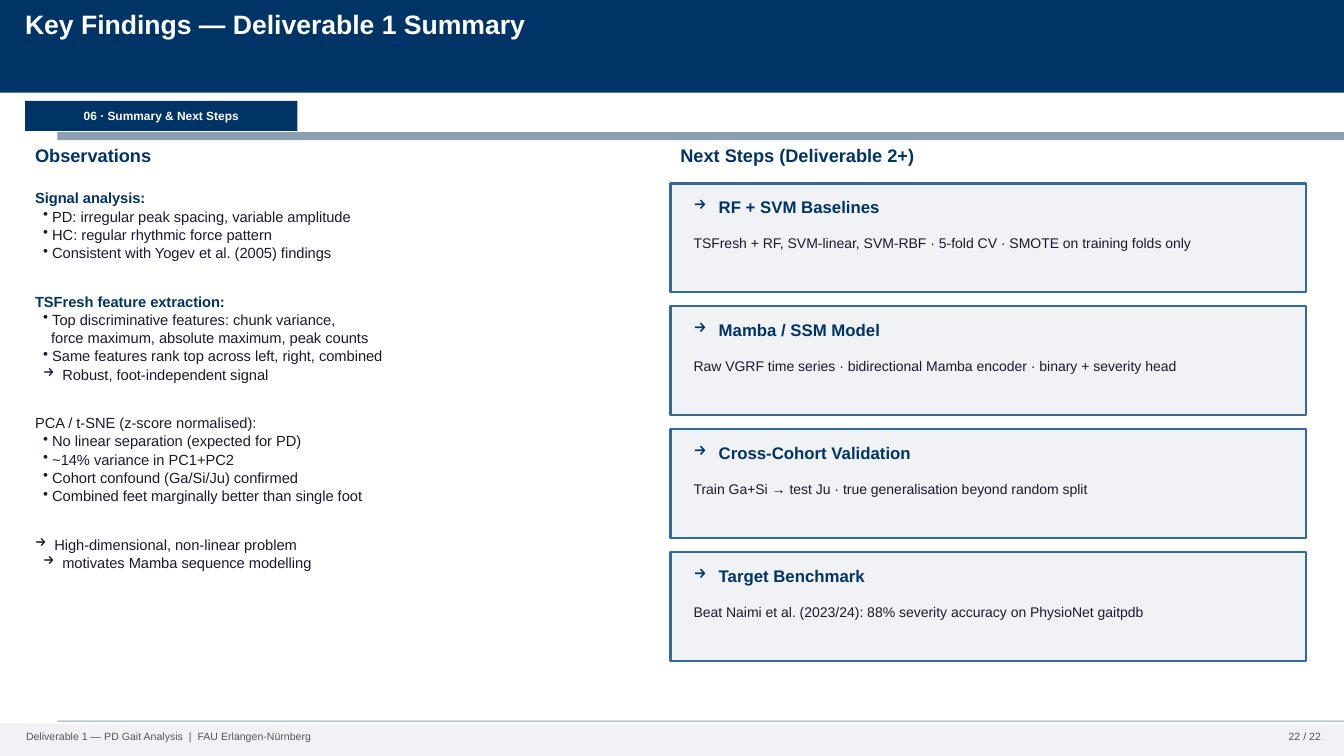
from dataclasses import dataclass

from pptx import Presentation
from pptx.dml.color import RGBColor as RGB
from pptx.enum.shapes import MSO_SHAPE as SHAPE
from pptx.enum.text import MSO_ANCHOR as ANCHOR, MSO_AUTO_SIZE as FIT, PP_ALIGN as ALIGN
from pptx.oxml.xmlchemy import OxmlElement as element
from pptx.util import Inches, Pt

COLORS = {
    "navy": "003366", "slate": "8C9FB1", "panel": "F0F2F5", "edge": "316A9B",
    "ink": "1A1A2E", "grey": "555555", "white": "FFFFFF",
}


@dataclass(frozen=True)
class Style:
    size: float
    color: str
    bold: bool = False


@dataclass(frozen=True)
class Line:
    text: str
    bullet: str = ""
    margin: float = 0
    hang: float = 0
    gap: float = 0
    style: Style | None = None
    align: ALIGN = ALIGN.LEFT


@dataclass(frozen=True)
class Bar:
    left: float
    top: float
    width: float
    height: float
    fill: str


@dataclass(frozen=True)
class Step:
    title: str
    detail: str


TITLE = Style(19, "white", True)
TAG = Style(8.5, "white", True)
HEADING = Style(13, "navy", True)
TOPIC = Style(10.5, "navy", True)
BODY = Style(10.5, "ink")
STEP_TITLE = Style(12, "navy", True)
STEP_DETAIL = Style(10, "ink")
FOOTER = Style(7.5, "grey")

BARS = [
    Bar(0.57, 1.31, 12.77, 0.08, "slate"),
    Bar(0.57, 7.15, 12.77, 0.01, "slate"),
    Bar(0, 0, 13.33, 0.92, "navy"),
    Bar(0, 7.18, 13.33, 0.32, "panel"),
]
SECTION_TAG = Bar(0.25, 1, 2.7, 0.3, "navy")
GROUP_GAP = 21.5


def point(text: str) -> Line:
    return Line(text, "•", 0.17, 0.09)


def arrow(text: str, indent: float = 0, gap: float = 0) -> Line:
    return Line(text, "→", indent + 0.19, 0.19, gap)


OBSERVATIONS = [
    Line("Signal analysis:", style=TOPIC),
    point("PD: irregular peak spacing, variable amplitude"),
    point("HC: regular rhythmic force pattern"),
    point("Consistent with Yogev et al. (2005) findings"),
    Line("TSFresh feature extraction:", gap=GROUP_GAP, style=TOPIC),
    point("Top discriminative features: chunk variance,"),
    Line("force maximum, absolute maximum, peak counts", margin=0.16),
    point("Same features rank top across left, right, combined"),
    arrow("Robust, foot-independent signal", 0.08),
    Line("PCA / t-SNE (z-score normalised):", gap=GROUP_GAP),
    point("No linear separation (expected for PD)"),
    point("~14% variance in PC1+PC2"),
    point("Cohort confound (Ga/Si/Ju) confirmed"),
    point("Combined feet marginally better than single foot"),
    arrow("High-dimensional, non-linear problem", gap=GROUP_GAP),
    arrow("motivates Mamba sequence modelling", 0.08),
]
STEPS = [
    Step("RF + SVM Baselines",
         "TSFresh + RF, SVM-linear, SVM-RBF · 5-fold CV · SMOTE on training folds only"),
    Step("Mamba / SSM Model",
         "Raw VGRF time series · bidirectional Mamba encoder · binary + severity head"),
    Step("Cross-Cohort Validation",
         "Train Ga+Si → test Ju · true generalisation beyond random split"),
    Step("Target Benchmark",
         "Beat Naimi et al. (2023/24): 88% severity accuracy on PhysioNet gaitpdb"),
]


def write(tf, lines: list[Line], style: Style, spacing: float | None = None) -> None:
    for i, line in enumerate(lines):
        p = tf.paragraphs[0] if i == 0 else tf.add_paragraph()
        ppr = p._p.get_or_add_pPr()
        if line.margin:
            ppr.set("marL", str(Inches(line.margin)))
            ppr.set("indent", str(-Inches(line.hang)))
        if line.bullet:
            bu = element("a:buChar")
            bu.set("char", line.bullet)
            ppr.append(bu)
        p.alignment = line.align
        if spacing:
            p.line_spacing = spacing
        if line.gap:
            p.space_before = Pt(line.gap)
        r = p.add_run()
        r.text = line.text
        look = line.style or style
        values = {"name": "Arial", "size": Pt(look.size), "bold": look.bold}
        for name, value in values.items():
            setattr(r.font, name, value)
        r.font.color.rgb = RGB.from_string(COLORS[look.color])


def add_text(s, left: float, top: float, width: float, height: float,
             lines: list[Line], style: Style, spacing: float | None = None) -> None:
    sp = s.shapes.add_textbox(*map(Inches, (left, top, width, height)))
    tf = sp.text_frame
    for name, value in {"word_wrap": True, "auto_size": FIT.SHAPE_TO_FIT_TEXT}.items():
        setattr(tf, name, value)
    write(tf, lines, style, spacing)


def add_bar(s, bar: Bar, edge: str = ""):
    sp = s.shapes.add_shape(
        SHAPE.RECTANGLE, *map(Inches, (bar.left, bar.top, bar.width, bar.height)))
    sp.shadow.inherit = False
    sp.fill.solid()
    sp.fill.fore_color.rgb = RGB.from_string(COLORS[bar.fill])
    if edge:
        sp.line.color.rgb = RGB.from_string(COLORS[edge])
        sp.line.width = Pt(1.5)
    else:
        sp.line.fill.background()
    return sp


def add_step(s, step: Step, top: float) -> None:
    add_bar(s, Bar(6.65, top, 6.3, 1.08, "panel"), "edge")
    add_text(s, 6.78, top + 0.08, 6.05, 0.38,
             [Line(step.title, "→", 0.25, 0.25)], STEP_TITLE)
    add_text(s, 6.78, top + 0.46, 6.05, 0.56, [Line(step.detail)], STEP_DETAIL)


def main() -> None:
    """Build the key findings slide and save it."""
    prs = Presentation()
    prs.slide_width, prs.slide_height = Inches(13.33), Inches(7.5)
    s = prs.slides.add_slide(prs.slide_layouts[6])
    for bar in BARS:
        add_bar(s, bar)
    add_text(s, 0, 0.03, 12.5, 0.68,
             [Line("Key Findings — Deliverable 1 Summary", margin=0.15)], TITLE)
    tf = add_bar(s, SECTION_TAG).text_frame
    tf.vertical_anchor = ANCHOR.MIDDLE
    write(tf, [Line("06 · Summary & Next Steps", align=ALIGN.CENTER)], TAG)
    add_text(s, 0.25, 1.38, 6.1, 0.38, [Line("Observations")], HEADING)
    add_text(s, 0.25, 1.82, 6.1, 5, OBSERVATIONS, BODY, 1.04)
    add_text(s, 6.65, 1.38, 6.3, 0.38, [Line("Next Steps (Deliverable 2+)")], HEADING)
    for i, step in enumerate(STEPS):
        add_step(s, step, 1.82 + 1.22 * i)
    add_text(s, 0.1, 7.19, 10, 0.26,
             [Line("Deliverable 1 — PD Gait Analysis  |  FAU Erlangen-Nürnberg", margin=0.06)],
             FOOTER)
    add_text(s, 12.35, 7.19, 0.85, 0.26, [Line("22 / 22", align=ALIGN.RIGHT)], FOOTER)
    prs.save("out.pptx")


if __name__ == "__main__":
    main()
